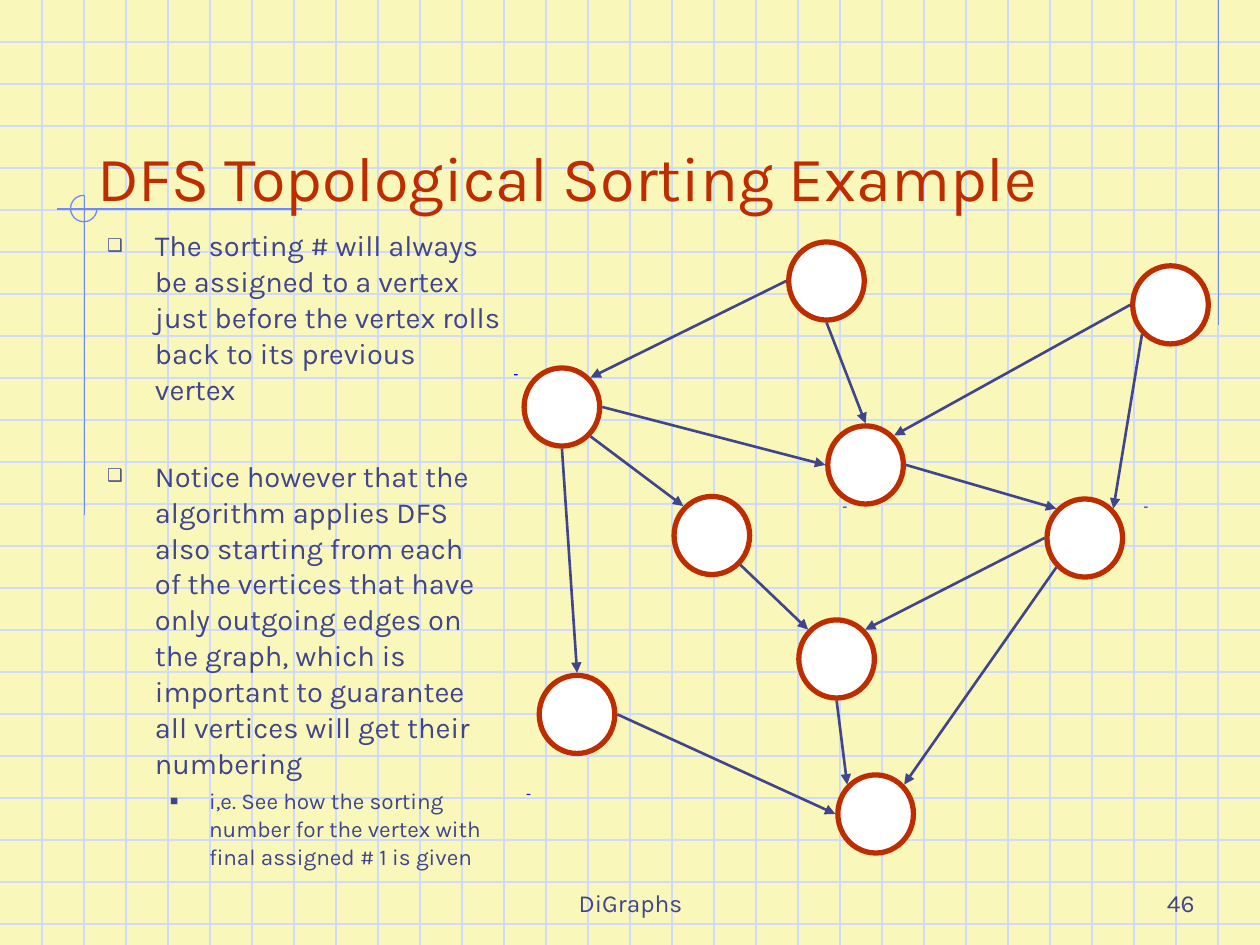
from math import cos, radians, sin

from lxml.etree import SubElement
from pptx import Presentation
from pptx.dml.color import RGBColor
from pptx.enum.shapes import MSO_CONNECTOR as Connector, MSO_SHAPE as Shape
from pptx.enum.text import MSO_ANCHOR as Anchor, MSO_AUTO_SIZE as AutoSize, PP_ALIGN as Align
from pptx.oxml.ns import qn
from pptx.util import Inches, Pt

FONT = "Karla"
NAVY, RUST, GRID, BLUE = "40458C", "BE2D00", "CFDBFD", "6F89F7"

deck = Presentation()
deck.slide_width, deck.slide_height = Inches(10), Inches(7.5)
page = deck.slides.add_slide(deck.slide_layouts[1])
color = RGBColor.from_string


def add_line(start, end, ink, width, arrow=False):
    line = page.shapes.add_connector(
        Connector.STRAIGHT, *[Inches(value) for value in (*start, *end)])
    line.line.color.rgb = color(ink)
    line.line.width = Pt(width)
    properties = line.element.spPr
    if arrow:
        SubElement(properties.find(qn("a:ln")), qn("a:tailEnd"), type="triangle")
    SubElement(properties, qn("a:effectLst"))


def add_text(para, text, size, ink):
    span = para.add_run()
    span.text = text
    span.font.name = FONT
    span.font.size = Pt(size)
    span.font.color.rgb = color(ink)


# Graph paper
page.background.fill.solid()
page.background.fill.fore_color.rgb = color("F9F8BA")
for row in range(1, 23):
    add_line((0, row / 3), (10, row / 3), GRID, 0.75)
for column in range(1, 30):
    add_line((column / 3, 0), (column / 3, 7.5), GRID, 0.75)

# Blue margin lines and three-quarter ring
for start, end in [((9.67, 0), (9.67, 2.58)), ((2.4, 1.66), (0.45, 1.66)),
                   ((0.67, 1.55), (0.67, 4.09))]:
    add_line(start, end, BLUE, 0.75)
ring = page.shapes.add_shape(Shape.ARC, Inches(0.56), Inches(1.55), Inches(0.21), Inches(0.21))
ring.adjustments[0], ring.adjustments[1] = 0, 162
ring.shadow.inherit = False
ring.fill.background()
ring.line.color.rgb = color(BLUE)
ring.line.width = Pt(0.75)

# Footer and page number
for text, left, width, align in [("DiGraphs", 3.42, 3.17, Align.CENTER),
                                 ("46", 7.5, 2.08, Align.RIGHT)]:
    box = page.shapes.add_textbox(Inches(left), Inches(6.83), Inches(width), Inches(0.5))
    box.text_frame.word_wrap = True
    box.text_frame.vertical_anchor = Anchor.BOTTOM
    para = box.text_frame.paragraphs[0]
    para.alignment = align
    add_text(para, text, 14, NAVY)

# Title, lifted above the graph paper
title = page.shapes.title
page.shapes.element.append(title.element)
title.left, title.top, title.width, title.height = [Inches(v) for v in (0.67, 0.5, 8.5, 1.25)]
title.text_frame.vertical_anchor = Anchor.BOTTOM
title.text_frame.auto_size = AutoSize.NONE
para = title.text_frame.paragraphs[0]
para.alignment = Align.LEFT
add_text(para, "DFS Topological Sorting Example", 36, RUST)

# Small blue ticks
for left, top in [(4.08, 2.97), (6.69, 4.02), (9.08, 4.02), (4.18, 6.3)]:
    tick = page.shapes.add_shape(
        Shape.RECTANGLE, Inches(left), Inches(top), Inches(0.03), Inches(0.01))
    tick.shadow.inherit = False
    tick.fill.solid()
    tick.fill.fore_color.rgb = color("0000FF")
    tick.line.fill.background()

# Vertices of the graph
WIDTH, HEIGHT, GAP = 0.6, 0.62, 0.02
vertices = {
    "top": (6.26, 1.92), "lower": (6.34, 4.92), "center": (6.57, 3.38),
    "southwest": (4.28, 5.36), "east": (8.31, 3.96), "inner": (5.35, 3.94),
    "northeast": (8.99, 2.11), "west": (4.16, 2.92), "bottom": (6.65, 6.15),
}
for left, top in vertices.values():
    vertex = page.shapes.add_shape(
        Shape.OVAL, Inches(left), Inches(top), Inches(WIDTH), Inches(HEIGHT))
    vertex.shadow.inherit = False
    vertex.fill.solid()
    vertex.fill.fore_color.rgb = color("FFFFFF")
    vertex.line.color.rgb = color(RUST)
    vertex.line.width = Pt(3)

# Directed edges: vertex and angle (clockwise from the right) at each end
edges = [
    ("top", 180, "west", 315), ("top", 90, "center", 270),
    ("northeast", 180, "center", 315), ("east", 180, "lower", 315),
    ("east", 135, "bottom", 315), ("southwest", 0, "bottom", 180),
    ("lower", 90, "bottom", 225), ("inner", 45, "lower", 225),
    ("west", 45, "inner", 225), ("west", 90, "southwest", 270),
    ("west", 0, "center", 180), ("center", 0, "east", 225),
    ("northeast", 135, "east", 315),
]
for source, source_angle, target, target_angle in edges:
    ends = []
    for name, angle in [(source, source_angle), (target, target_angle)]:
        left, top = vertices[name]
        ends.append((left + WIDTH / 2 + (WIDTH / 2 + GAP) * cos(radians(angle)),
                     top + HEIGHT / 2 + (HEIGHT / 2 + GAP) * sin(radians(angle))))
    add_line(*ends, NAVY, 1.5, arrow=True)

# Bulleted list: text, level, size, bullet, margin, hanging indent, space before
body = page.placeholders[1]
page.shapes.element.append(body.element)
body.left, body.top, body.width, body.height = [Inches(v) for v in (0.75, 1.75, 3.33, 5.75)]
frame = body.text_frame
frame.auto_size = AutoSize.NONE
items = [
    ("The sorting # will always be assigned to a vertex just before the vertex rolls "
     "back to its previous vertex", 0, 16.6, "❑", 0.38, 0.38, 0),
    ("Notice however that the algorithm applies DFS also starting from each  of the "
     "vertices that have only outgoing edges on the graph, which is important to "
     "guarantee all vertices will get their numbering", 0, 16.6, "❑", 0.38, 0.38, 29),
    ("i,e. See how the sorting number for the vertex with final assigned # 1 is given",
     1, 12.9, "■", 0.81, 0.31, 3.5),
]
for index, (text, level, size, bullet, margin, hanging, before) in enumerate(items):
    para = frame.add_paragraph() if index else frame.paragraphs[0]
    para.level = level
    properties = para._p.get_or_add_pPr()
    properties.set("marL", str(Inches(margin)))
    properties.set("indent", str(-Inches(hanging)))
    SubElement(SubElement(properties, qn("a:buClr")), qn("a:srgbClr"), val=NAVY)
    SubElement(properties, qn("a:buSzPct"), val="60000")
    SubElement(properties, qn("a:buChar"), char=bullet)
    para.space_before = Pt(before)
    para.line_spacing = 1.03
    add_text(para, text, size, NAVY)

deck.save("out.pptx")
